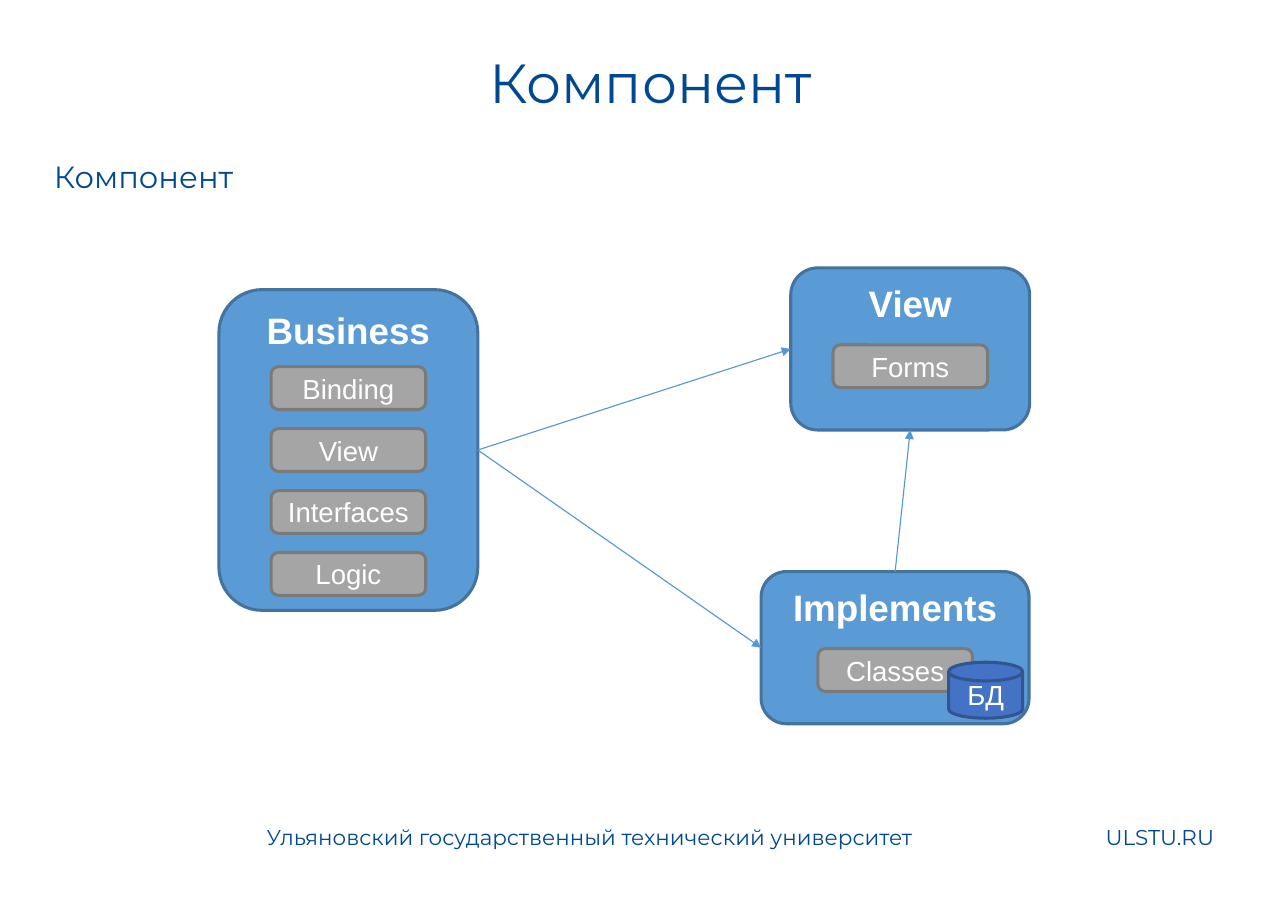
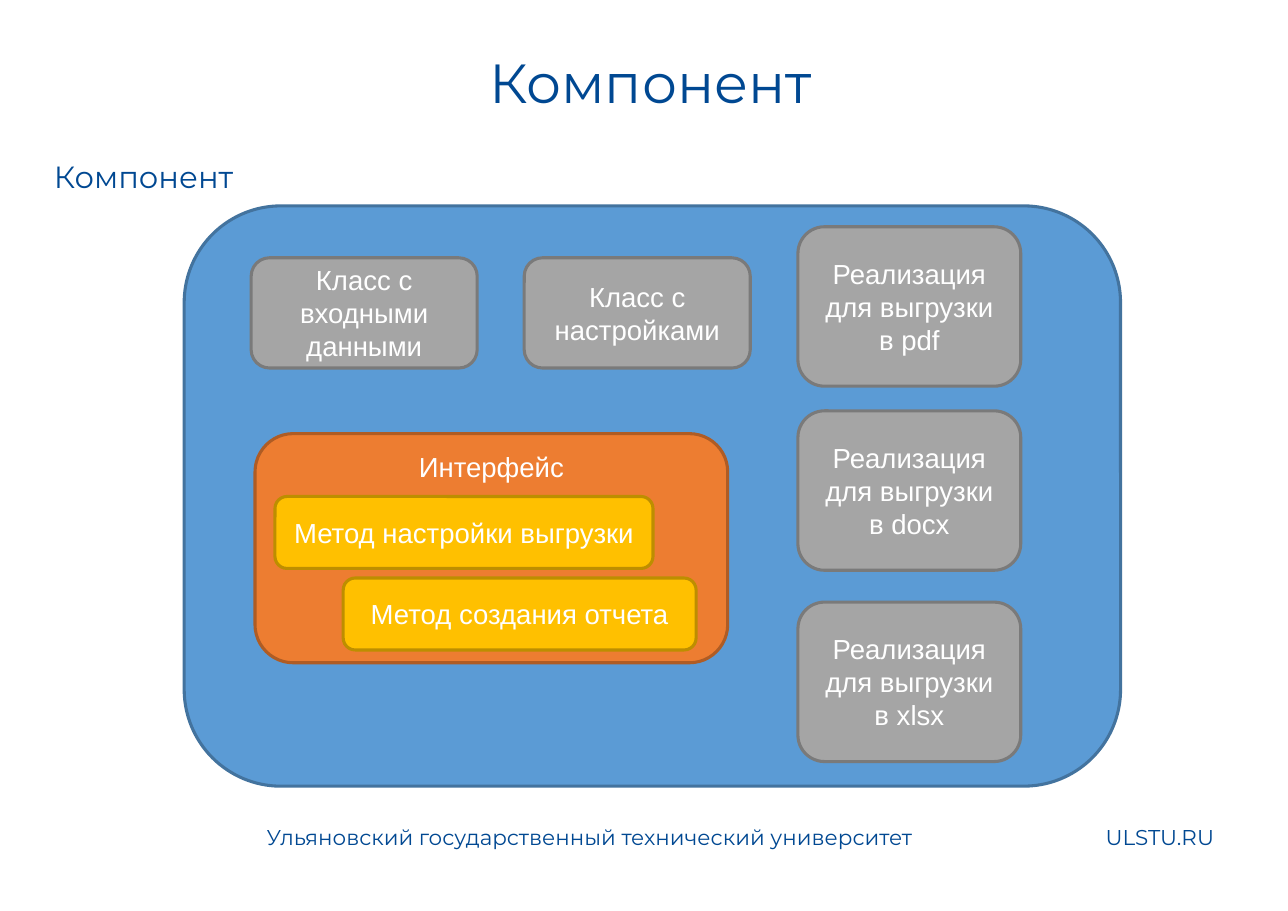
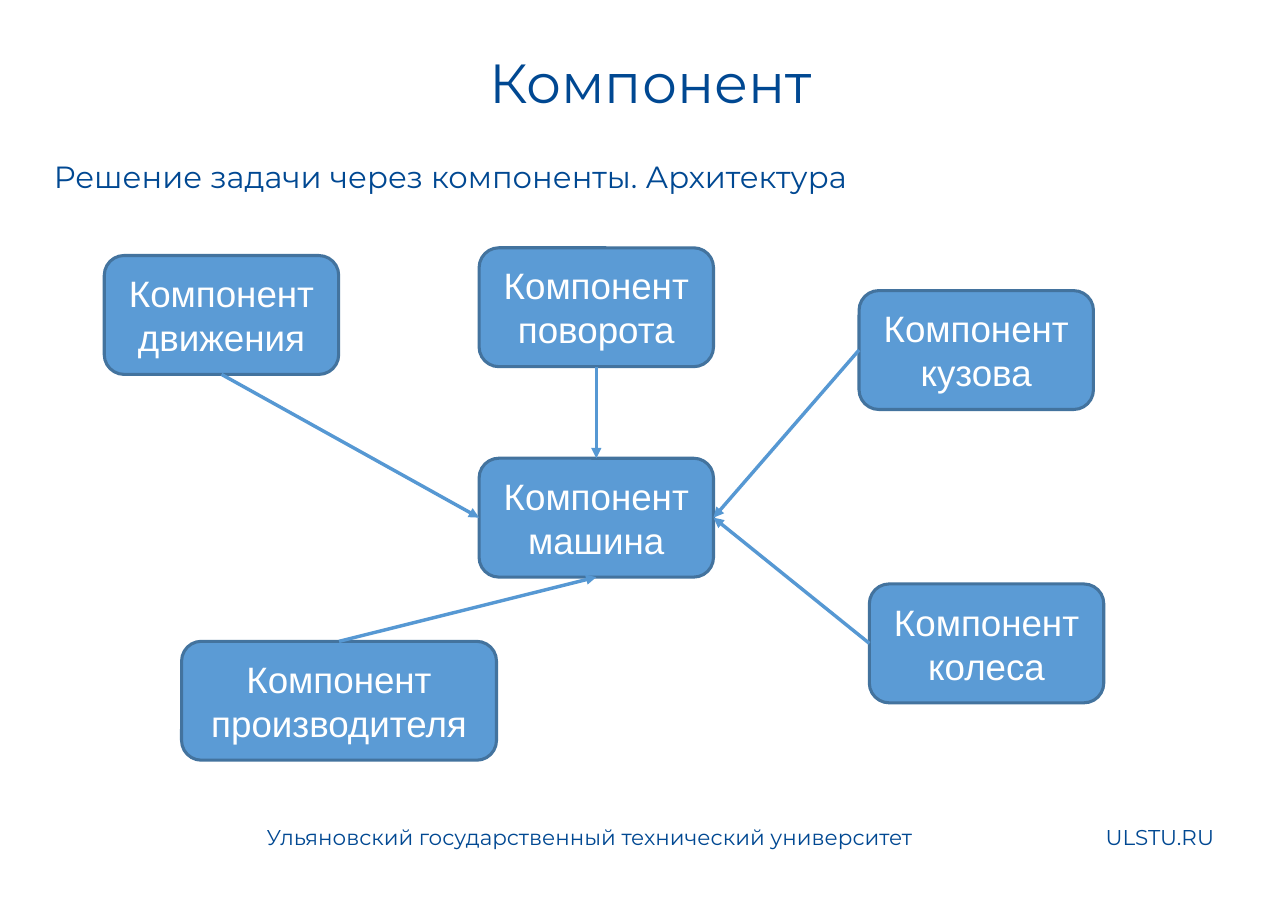
from dataclasses import dataclass

from lxml.etree import SubElement
from pptx import Presentation
from pptx.dml.color import RGBColor
from pptx.enum.shapes import MSO_CONNECTOR, MSO_SHAPE
from pptx.enum.text import MSO_ANCHOR, MSO_AUTO_SIZE, PP_ALIGN
from pptx.oxml.ns import qn
from pptx.util import Inches, Pt

SLIDE_WIDTH, SLIDE_HEIGHT = Inches(11.69), Inches(8.27)
GRID = 100
TITLE_ONLY = 5

NAVY = RGBColor(0x00, 0x48, 0x92)
WHITE = RGBColor(0xFF, 0xFF, 0xFF)
ARROW = RGBColor(0x56, 0x98, 0xD3)
BLUE = (RGBColor(0x5B, 0x9B, 0xD5), RGBColor(0x43, 0x73, 0x9E))
GREY = (RGBColor(0xA5, 0xA5, 0xA5), RGBColor(0x7A, 0x7A, 0x7A))
ORANGE = (RGBColor(0xED, 0x7D, 0x31), RGBColor(0xAF, 0x5C, 0x24))
GOLD = (RGBColor(0xFF, 0xC0, 0x00), RGBColor(0xBD, 0x8E, 0x00))
INDIGO = (RGBColor(0x44, 0x72, 0xC4), RGBColor(0x32, 0x54, 0x91))

HEADING_FONT, DIAGRAM_FONT = "Montserrat", "Arial"
TOP, LEFT, BOTTOM, RIGHT = range(4)

PART_WIDTH, PART_HEIGHT = 12, 4.7
PART_OFFSET, PART_PITCH = 8.45, 6.8
DISK_WIDTH, DISK_HEIGHT = 5.75, 6.15
NODE_WIDTH, NODE_HEIGHT = 18.2, 13.05


@dataclass
class Box:
    """A rectangle in columns and rows of the slide grid."""
    left: float
    top: float
    width: float
    height: float

    def inner(self, left, top, width, height):
        """Return a box whose corner is counted from this box's corner."""
        return Box(self.left + left, self.top + top, width, height)

    def lengths(self):
        """Return left, top, width and height as slide lengths."""
        column, row = SLIDE_WIDTH / GRID, SLIDE_HEIGHT / GRID
        return (round(self.left * column), round(self.top * row),
                round(self.width * column), round(self.height * row))


TITLE_BOX = Box(3.35, 4.7, 94.3, 9.5)
SUBTITLE_BOX = Box(3.35, 16.7, 94.3, 7.1)
UNIVERSITY_BOX = Box(19.85, 89.85, 53, 4.7)
SITE_BOX = Box(85, 89.85, 12, 4.7)


def write(shape, text, size, font=DIAGRAM_FONT, color=WHITE, bold=False,
          align=PP_ALIGN.CENTER, anchor=MSO_ANCHOR.MIDDLE):
    """Fill a shape with one formatted paragraph."""
    frame = shape.text_frame
    frame.text = text
    frame.word_wrap = True
    frame.auto_size = MSO_AUTO_SIZE.NONE
    frame.vertical_anchor = anchor
    para = frame.paragraphs[0]
    para.alignment = align
    for span in para.runs:
        span.font.name = font
        span.font.size = Pt(size)
        span.font.bold = bold
        span.font.color.rgb = color


def add_heading(page, box, text, size):
    """Add a left-aligned navy line of text."""
    label = page.shapes.add_textbox(*box.lengths())
    write(label, text, size, HEADING_FONT, NAVY, align=PP_ALIGN.LEFT,
          anchor=MSO_ANCHOR.TOP)


def add_page(deck, subtitle):
    """Add a slide with the shared title, subtitle and footer."""
    page = deck.slides.add_slide(deck.slide_layouts[TITLE_ONLY])
    title = page.shapes.title
    title.left, title.top, title.width, title.height = TITLE_BOX.lengths()
    write(title, "Компонент", 36, HEADING_FONT, NAVY, anchor=MSO_ANCHOR.TOP)
    add_heading(page, SUBTITLE_BOX, subtitle, 20)
    add_heading(page, UNIVERSITY_BOX,
                "Ульяновский государственный технический университет", 14)
    add_heading(page, SITE_BOX, "ULSTU.RU", 14)
    return page


def add_block(parent, box, colors, text="", size=18,
              kind=MSO_SHAPE.ROUNDED_RECTANGLE, **style):
    """Add an outlined block to a slide or a group."""
    block = parent.shapes.add_shape(kind, *box.lengths())
    block.shadow.inherit = False
    fill, outline = colors
    block.fill.solid()
    block.fill.fore_color.rgb = fill
    block.line.color.rgb = outline
    block.line.width = Pt(2)
    if text:
        write(block, text, size, **style)
    return block


def add_arrow(page, source, source_side, target, target_side, width):
    """Join two blocks with an arrow."""
    arrow = page.shapes.add_connector(MSO_CONNECTOR.STRAIGHT, 0, 0, 0, 0)
    arrow.begin_connect(source, source_side)
    arrow.end_connect(target, target_side)
    arrow.line.color.rgb = ARROW
    arrow.line.width = Pt(width)
    properties = arrow.element.spPr
    SubElement(properties.find(qn("a:ln")), qn("a:tailEnd"), type="triangle")
    SubElement(properties, qn("a:effectLst"))


def add_card(page, box, name, parts, store=""):
    """Add a named component with its parts stacked and an optional store."""
    group = page.shapes.add_group_shape()
    card = add_block(group, box, BLUE, name, 24, bold=True,
                     anchor=MSO_ANCHOR.TOP)
    for index, part in enumerate(parts):
        place = box.inner((box.width - PART_WIDTH) / 2,
                          PART_OFFSET + index * PART_PITCH,
                          PART_WIDTH, PART_HEIGHT)
        add_block(group, place, GREY, part)
    if store:
        corner = box.inner(box.width - DISK_WIDTH - 0.5,
                           box.height - DISK_HEIGHT - 0.6,
                           DISK_WIDTH, DISK_HEIGHT)
        add_block(group, corner, INDIGO, store,
                  kind=MSO_SHAPE.FLOWCHART_MAGNETIC_DISK)
    return card


def add_layers(deck):
    """Build the slide of three linked component layers."""
    page = add_page(deck, "Компонент")
    business = add_card(page, Box(17, 31.8, 20.1, 35.2), "Business",
                        ("Binding", "View", "Interfaces", "Logic"))
    view = add_card(page, Box(61.4, 29.4, 18.55, 17.8), "View", ("Forms",))
    implements = add_card(page, Box(59.1, 62.75, 20.8, 16.7), "Implements",
                          ("Classes",), "БД")
    add_arrow(page, business, RIGHT, view, LEFT, 0.75)
    add_arrow(page, implements, TOP, view, BOTTOM, 0.75)
    add_arrow(page, business, RIGHT, implements, LEFT, 0.75)


def add_interface(group, box):
    """Add the interface block with its two methods."""
    add_block(group, box, ORANGE, "Интерфейс", anchor=MSO_ANCHOR.TOP)
    add_block(group, box.inner(1.55, 6.9, 29.35, 7.9), GOLD,
              "Метод настройки выгрузки")
    add_block(group, box.inner(6.85, 15.85, 27.4, 7.9), GOLD,
              "Метод создания отчета")


def add_contents(deck):
    """Build the slide of what one component contains."""
    page = add_page(deck, "Компонент")
    group = page.shapes.add_group_shape()
    panel = Box(14.3, 22.6, 72.7, 63.7)
    add_block(group, panel, BLUE)
    for index, text in enumerate(("Класс с входными данными",
                                  "Класс с настройками")):
        add_block(group, panel.inner(5.2 + index * 21.2, 5.7, 17.55, 12.1),
                  GREY, text)
    add_interface(group, panel.inner(5.5, 25, 36.7, 25.15))
    for top, target in ((2.3, "pdf"), (22.5, "docx"), (43.5, "xlsx")):
        add_block(group, panel.inner(47.65, top, 17.3, 17.5), GREY,
                  f"Реализация для выгрузки в {target}")


def add_architecture(deck):
    """Build the slide of components that feed the car component."""
    page = add_page(deck, "Решение задачи через компоненты. Архитектура")

    def add_node(name, left, top, width=NODE_WIDTH):
        """Add one component node."""
        return add_block(page, Box(left, top, width, NODE_HEIGHT), BLUE,
                         f"Компонент {name}", 24)

    car = add_node("машина", 37.2, 50.3)
    links = (
        (add_node("движения", 8.1, 28.05), BOTTOM, LEFT),
        (add_node("поворота", 37.2, 27.2), BOTTOM, TOP),
        (add_node("производителя", 14.1, 70.4, 24.45), TOP, BOTTOM),
        (add_node("кузова", 66.7, 31.9), LEFT, RIGHT),
        (add_node("колеса", 67.5, 64.1), LEFT, RIGHT),
    )
    for node, node_side, car_side in links:
        add_arrow(page, node, node_side, car, car_side, 2.25)


def main():
    """Build and save the deck."""
    deck = Presentation()
    deck.slide_width, deck.slide_height = SLIDE_WIDTH, SLIDE_HEIGHT
    add_layers(deck)
    add_contents(deck)
    add_architecture(deck)
    deck.save("out.pptx")


if __name__ == "__main__":
    main()
